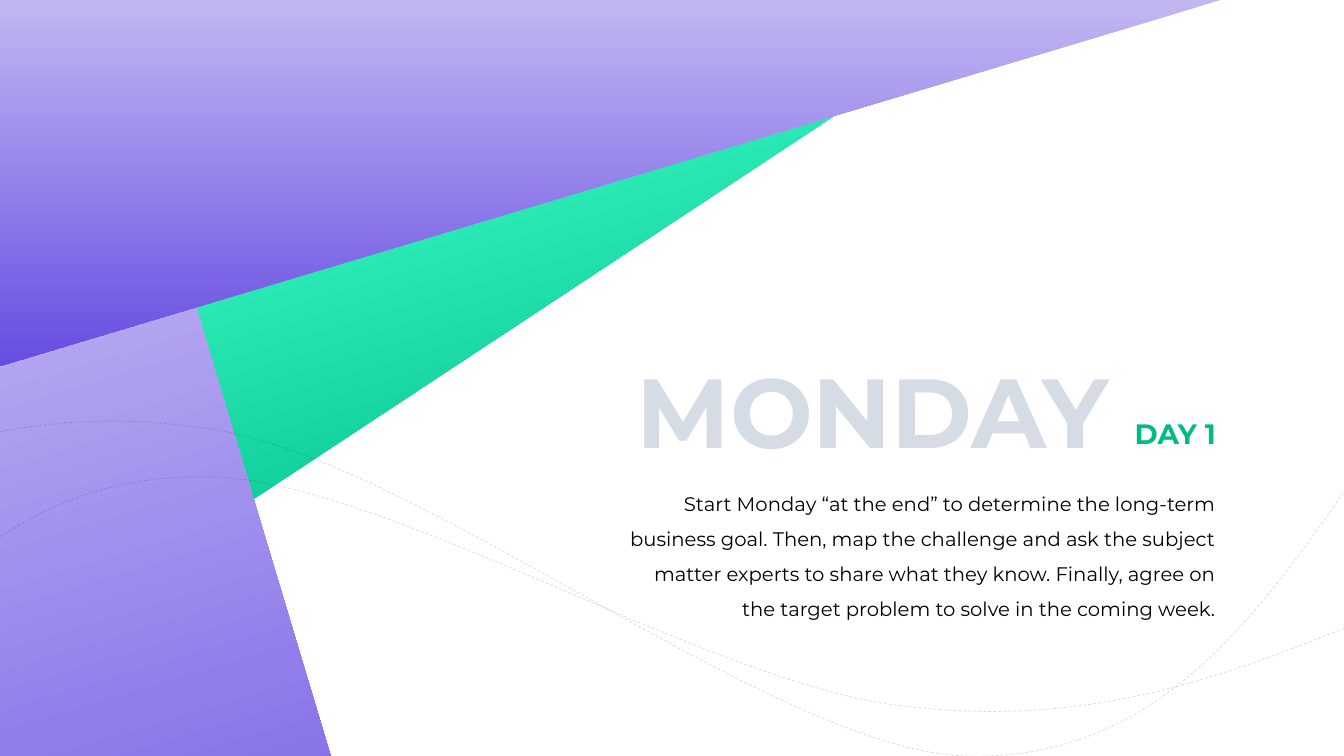
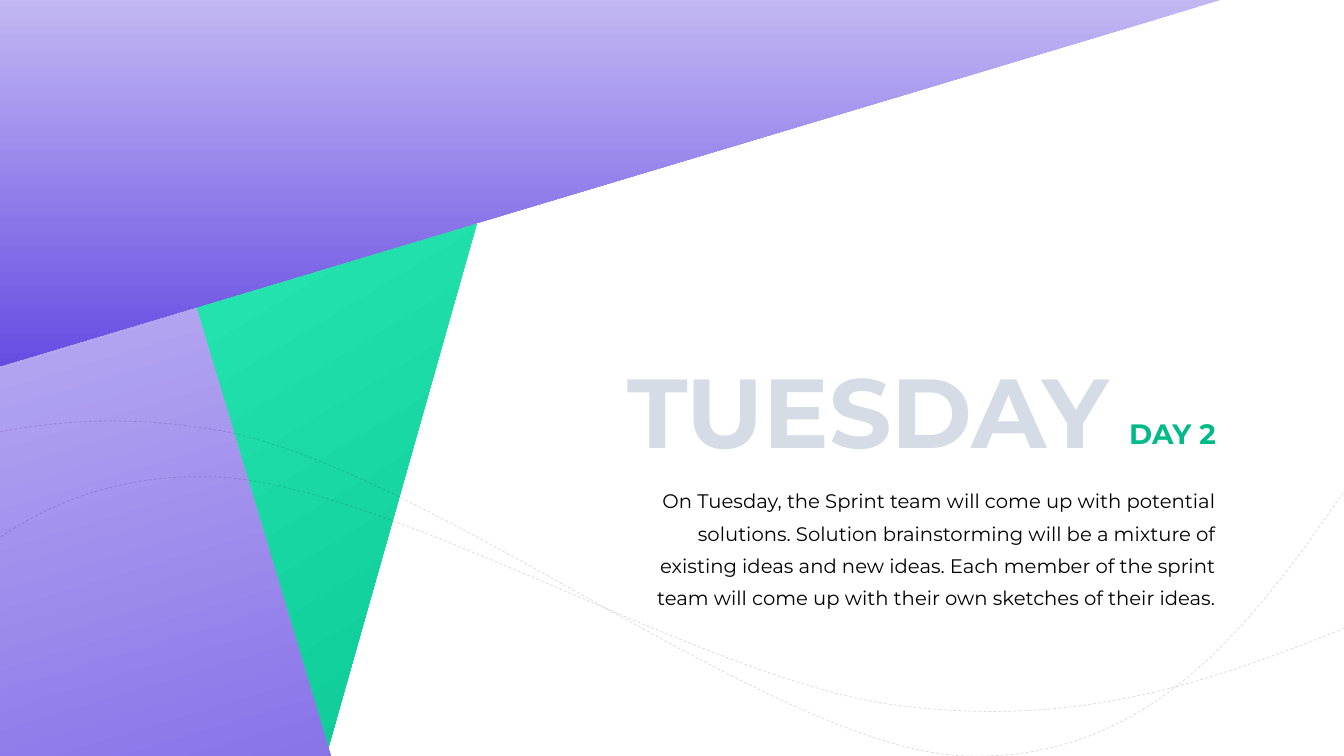
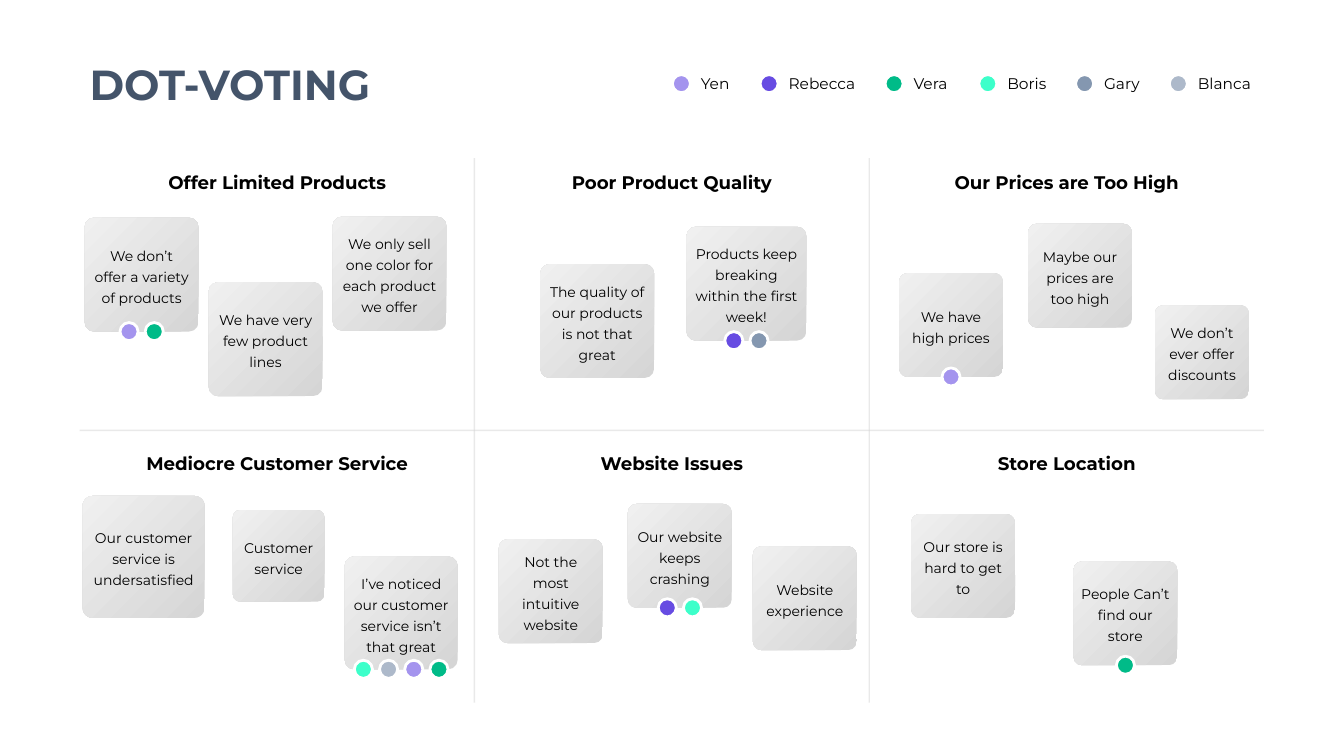
from math import cos, radians, sin

from lxml.etree import SubElement
from pptx import Presentation
from pptx.dml.color import RGBColor
from pptx.enum.dml import MSO_LINE
from pptx.enum.shapes import MSO_CONNECTOR, MSO_SHAPE
from pptx.enum.text import MSO_ANCHOR, MSO_AUTO_SIZE, PP_ALIGN
from pptx.oxml.ns import qn
from pptx.util import Inches, Pt


class Theme:
    font = "Montserrat"
    black, white = "000000", "FFFFFF"
    pale, slate, rule = "D6DCE5", "44546A", "D5D5D5"
    lilac, violet, green, mint = "A494EE", "674CE2", "00BB88", "3DFFCA"
    steel, mist = "8497B0", "ADB9CA"
    purple_fade = ("C2B7F3", violet)
    green_fade = (mint, green)
    note_fade = ("F0F0F0", "D5D5D5")
    weekday, title, day, body, heading, legend, note = 70, 30, 20, 14, 13, 11, 10


# ---- Content: day slides ----
# green triangle: left, top, width, height, rotation
DAYS = [
    dict(name="MONDAY", name_width=4.99, day="DAY 1", body_size=(6.05, 1.46), leading=25,
         triangle=(4.35, -0.31, 2.03, 6.76, 73.3),
         body="Start Monday “at the end” to determine the long-term business goal. "
              "Then, map the challenge and ask the subject matter experts to share what "
              "they know. Finally, agree on the target problem to solve in the coming week."),
    dict(name="TUESDAY", name_width=5.09, day="DAY 2", body_size=(5.84, 1.36), leading=23,
         triangle=(0.22, 0.11, 7.84, 8.38, 58.9),
         body="On Tuesday, the Sprint team will come up with potential solutions. Solution "
              "brainstorming will be a mixture of existing ideas and new ideas. Each member "
              "of the sprint team will come up with their own sketches of their ideas."),
]
LOWER_BLOCK = (-3.64, 3.78, 6.58, 6.76, 73.3)
UPPER_TRIANGLE = (4.22, -4.25, 3.64, 12.14, 90)
TRIANGLE = [(-1, -1), (-1, 1), (1, 1)]
RECTANGLE = TRIANGLE + [(1, -1)]
# each wave: its box, then a start point and cubic segments joined end to end
WAVES = [
    ((-1.51, 4.73, 15.03, 2.33),
     [(13.52, 6.16), (12.17, 6.7), (10.82, 7.24), (8.92, 7), (7.01, 6.77), (3.83, 4.77),
      (2.09, 4.73), (0.35, 4.69), (-0.58, 5.72), (-1.51, 6.75)]),
    ((-2.94, 4.17, 16.46, 3.33),
     [(-2.94, 5.46), (-1.46, 4.69), (0.02, 3.92), (2.11, 4.26), (4.2, 4.59), (7.68, 7.44),
      (9.58, 7.5), (11.49, 7.56), (12.5, 6.09), (13.52, 4.61)]),
]
TEXT_RIGHT, NAME_RIGHT = 12.16, 11.1

# ---- Content: dot-voting slide ----
VOTERS = {  # name: dot colour, label width
    "Yen": (Theme.lilac, 0.5), "Rebecca": (Theme.violet, 0.87), "Vera": (Theme.green, 0.56),
    "Boris": (Theme.mint, 0.59), "Gary": (Theme.steel, 0.56), "Blanca": (Theme.mist, 0.73),
}
HEADINGS = [  # text, box width
    [("Offer Limited Products", 2.39), ("Poor Product Quality", 2.21),
     ("Our Prices are Too High", 2.46)],
    [("Mediocre Customer Service", 2.83), ("Website Issues", 1.64), ("Store Location", 1.59)],
]
NOTES = [  # left, top, width, height, text, votes
    (0.84, 2.16, 1.13, 1.13, "We don’t offer a variety of products", ["Yen", "Vera"]),
    (3.3, 2.15, 1.13, 1.13, "We only sell one color for each product we offer", []),
    (2.07, 2.8, 1.13, 1.13, "We have very few product lines", []),
    (5.36, 2.62, 1.13, 1.13, "The quality of our products is not that great", []),
    (6.81, 2.25, 1.19, 1.13, "Products keep breaking within the first week!", ["Rebecca", "Gary"]),
    (8.92, 2.71, 1.03, 1.03, "We have high prices", ["Yen"]),
    (11.46, 3.03, 0.93, 0.93, "We don’t ever offer discounts", []),
    (10.2, 2.22, 1.03, 1.03, "Maybe our prices are too high", []),
    (9.04, 5.1, 1.03, 1.03, "Our store is hard to get to", []),
    (10.65, 5.57, 1.03, 1.03, "People Can’t find our store", ["Vera"]),
    (6.23, 5, 1.03, 1.03, "Our website keeps crashing", ["Rebecca", "Boris"]),
    (7.47, 5.42, 1.03, 1.03, "Website experience", []),
    (4.95, 5.35, 1.03, 1.03, "Not the most intuitive website", []),
    (2.31, 5.06, 0.91, 0.91, "Customer service", []),
    (0.82, 4.92, 1.21, 1.21, "Our customer service is undersatisfied", []),
    (3.42, 5.52, 1.12, 1.12, "I’ve noticed our customer service isn’t that great",
     ["Boris", "Blanca", "Yen", "Vera"]),
]
GRID_LEFT, GRID_TOP, COL, ROW = 0.79, 1.57, 11.75 / 3, 2.7
HEADING_TOPS = (1.65, 4.44)
DOT, DOT_PITCH, LEGEND_GAP = 0.18, 0.25, 0.185


# ---- Helpers ----
def rgb(value):
    return RGBColor.from_string(value)


def style_text(tf, text, size, color=Theme.black, bold=False, align=PP_ALIGN.LEFT, leading=None):
    p = tf.paragraphs[0]
    p.text, p.alignment = text, align
    if leading:
        p.line_spacing = Pt(leading)
    p.font.name, p.font.size, p.font.bold = Theme.font, Pt(size), bold
    p.font.color.rgb = rgb(color)
    return p


def add_text(s, box, text, size, wrap=False, **style):
    tf = s.shapes.add_textbox(*map(Inches, box)).text_frame
    tf.word_wrap, tf.auto_size = wrap, MSO_AUTO_SIZE.SHAPE_TO_FIT_TEXT
    return style_text(tf, text, size, **style)


def add_outline(s, points, closed):
    start, *rest = [(Inches(x), Inches(y)) for x, y in points]
    builder = s.shapes.build_freeform(*start)
    builder.add_line_segments(rest, close=closed)
    sp = builder.convert_to_shape()
    sp.shadow.inherit = False
    return sp


def fade(sp, colors, angle=0):
    sp.fill.gradient()
    sp.fill.gradient_angle = (360 - angle) % 360
    for stop, color, position in zip(sp.fill.gradient_stops, colors, (0, 1)):
        stop.color.rgb, stop.position = rgb(color), position
    sp.line.fill.background()


def set_line(sp, color, width, opacity):
    sp.line.color.rgb, sp.line.width = rgb(color), Pt(width)
    clr = sp._element.spPr.find(qn("a:ln")).find(".//" + qn("a:srgbClr"))
    SubElement(clr, qn("a:alpha"), val=str(opacity * 1000))


def add_facet(s, corners, box, colors):
    """Draw a turned outline whose gradient runs along its rotation."""
    x, y, w, h, rot = box
    c, n = cos(radians(rot)), sin(radians(rot))
    halves = [(i * w / 2, j * h / 2) for i, j in corners]
    points = [(x + w / 2 + dx * c - dy * n, y + h / 2 + dx * n + dy * c) for dx, dy in halves]
    fade(add_outline(s, points, True), colors, rot)


def add_wave(s, box, knots):
    """Span the box with an open outline, then give it cubic segments."""
    x, y, w, h = box
    sp = add_outline(s, [(x, y), (x + w, y + h)], False)
    outline = sp._element.spPr.find(".//" + qn("a:path"))
    for child in list(outline):
        outline.remove(child)
    segments = [("a:moveTo", knots[:1])]
    segments += [("a:cubicBezTo", knots[i:i + 3]) for i in range(1, len(knots), 3)]
    for tag, points in segments:
        segment = SubElement(outline, qn(tag))
        for px, py in points:
            SubElement(segment, qn("a:pt"), x=str(Inches(px - x)), y=str(Inches(py - y)))
    sp.fill.background()
    set_line(sp, Theme.black, 0.5, 15)
    sp.line.dash_style = MSO_LINE.DASH


def add_dot(s, x, y, color):
    sp = s.shapes.add_shape(MSO_SHAPE.OVAL, *map(Inches, (x, y, DOT, DOT)))
    sp.shadow.inherit = False
    sp.fill.solid()
    sp.fill.fore_color.rgb = rgb(color)
    sp.line.color.rgb, sp.line.width = rgb(Theme.white), Pt(2)


def add_rule(s, *ends):
    line = s.shapes.add_connector(MSO_CONNECTOR.STRAIGHT, *map(Inches, ends))
    set_line(line, Theme.rule, 1, 50)
    SubElement(line._element.spPr, qn("a:effectLst"))


def add_note(s, x, y, w, h, text):
    sp = s.shapes.add_shape(MSO_SHAPE.ROUNDED_RECTANGLE, *map(Inches, (x, y, w, h)))
    sp.adjustments[0] = 0.083
    sp.shadow.inherit = False
    fade(sp, Theme.note_fade)
    # Radial gradient centred on the top left corner
    grad = sp._element.spPr.find(qn("a:gradFill"))
    grad.remove(grad.find(qn("a:lin")))
    radial = SubElement(grad, qn("a:path"), path="circle")
    SubElement(radial, qn("a:fillToRect"), r="100000", b="100000")
    tf = sp.text_frame
    tf.word_wrap, tf.vertical_anchor = True, MSO_ANCHOR.MIDDLE
    tf.margin_left = tf.margin_right = tf.margin_top = tf.margin_bottom = Inches(0.05)
    style_text(tf, text, Theme.note, align=PP_ALIGN.CENTER, leading=15)


# ---- Slides ----
def day_slide(s, day):
    right = PP_ALIGN.RIGHT
    p = add_text(s, (TEXT_RIGHT - 5.84, 4.08, 5.84, 0.44), day["day"], Theme.day, wrap=True,
                 color=Theme.green, bold=True, align=right)
    p.space_after = Pt(6)
    w, h = day["body_size"]
    add_text(s, (TEXT_RIGHT - w, 4.72, w, h), day["body"], Theme.body, wrap=True,
             align=right, leading=day["leading"])
    # Angled facets
    add_facet(s, TRIANGLE, day["triangle"], Theme.green_fade)
    add_facet(s, RECTANGLE, LOWER_BLOCK, Theme.purple_fade)
    add_facet(s, TRIANGLE, UPPER_TRIANGLE, Theme.purple_fade)
    # Dashed waves
    for box, knots in WAVES:
        add_wave(s, box, knots)
    w = day["name_width"]
    add_text(s, (NAME_RIGHT - w, 3.43, w, 1.28), day["name"], Theme.weekday,
             color=Theme.pale, bold=True, align=right)


def voting_slide(s):
    # Grid rules
    right, bottom = GRID_LEFT + 3 * COL, GRID_TOP + 2 * ROW
    for x in (GRID_LEFT + COL, GRID_LEFT + 2 * COL):
        add_rule(s, x, GRID_TOP, x, bottom)
    add_rule(s, right, GRID_TOP + ROW, GRID_LEFT, GRID_TOP + ROW)
    # Headings and title
    for top, row in zip(HEADING_TOPS, HEADINGS):
        for i, (text, w) in enumerate(row):
            x = GRID_LEFT + (i + 0.5) * COL - w / 2
            add_text(s, (x, top, w, 0.33), text, Theme.heading, bold=True, align=PP_ALIGN.CENTER)
    add_text(s, (GRID_LEFT, 0.53, 3.06, 0.61), "DOT-VOTING", Theme.title,
             color=Theme.slate, bold=True)
    # Notes
    for x, y, w, h, text, _ in NOTES:
        add_note(s, x, y, w, h, text)
    # Legend
    x = 6.67
    for name, (color, w) in VOTERS.items():
        add_dot(s, x, 0.74, color)
        add_text(s, (x + LEGEND_GAP, 0.69, w, 0.29), name, Theme.legend)
        x += w + 2 * LEGEND_GAP
    # Votes, centred on each note's lower edge
    for x, y, w, h, _, votes in NOTES:
        first = x + w / 2 - (len(votes) - 1) * DOT_PITCH / 2 - DOT / 2
        for i, name in enumerate(votes):
            add_dot(s, first + i * DOT_PITCH, y + h - DOT / 2, VOTERS[name][0])


def main():
    prs = Presentation()
    prs.slide_width, prs.slide_height = Inches(40 / 3), Inches(7.5)
    blank = prs.slide_layouts[6]
    for day in DAYS:
        day_slide(prs.slides.add_slide(blank), day)
    voting_slide(prs.slides.add_slide(blank))
    prs.save("out.pptx")


if __name__ == "__main__":
    main()
